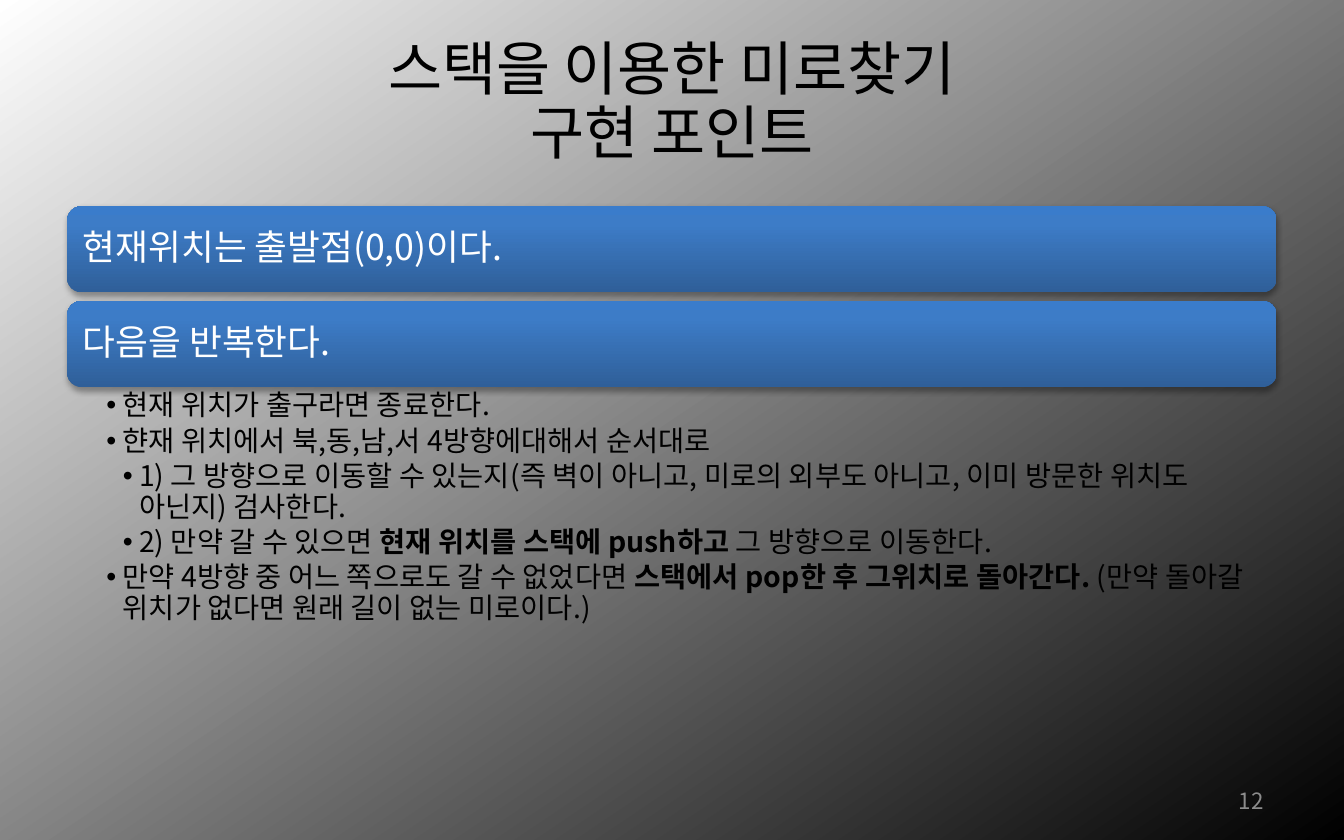
from copy import deepcopy

from lxml.etree import SubElement
from pptx import Presentation
from pptx.dml.color import RGBColor
from pptx.enum.shapes import MSO_SHAPE as Shape
from pptx.enum.text import MSO_ANCHOR as Anchor, MSO_AUTO_SIZE as AutoSize, PP_ALIGN as Align
from pptx.oxml.ns import qn
from pptx.util import Cm, Pt

FONT = "Noto Sans CJK KR"
BLACK, WHITE, GRAY = "000000", "FFFFFF", "8C8C8C"
BAR_STOPS = [(0, "2F5F99"), (0.8, "3D7CC7"), (1, "3A7CCB")]
LINE_SPACING = 0.9


def format_text(paragraph, size, color, **paragraph_format):
    """Format a paragraph and set the Latin and East Asian font of its runs."""
    for name, value in paragraph_format.items():
        setattr(paragraph, name, value)
    for run in paragraph.runs:
        run.font.name, run.font.size = FONT, Pt(size)
        run.font.color.rgb = RGBColor.from_string(color)
        SubElement(run.font._element, qn("a:ea"), typeface=FONT)


def fill_gradient(fill, element, stops, angle):
    fill.gradient()
    fill.gradient_angle = angle
    stop_list = element.find(".//" + qn("a:gsLst"))
    for _ in stops[2:]:
        stop_list.append(deepcopy(stop_list[0]))
    for stop, (position, color) in zip(fill.gradient_stops, stops):
        stop.position = position
        stop.color.rgb = RGBColor.from_string(color)


presentation = Presentation()
presentation.slide_width, presentation.slide_height = Cm(25.4), Cm(15.88)
slide = presentation.slides.add_slide(presentation.slide_layouts[1])
fill_gradient(slide.background.fill, slide.element, [(0, WHITE), (1, BLACK)], 304)

# Title
title = slide.shapes.title
title.left, title.top, title.width, title.height = Cm(1.27), Cm(0.64), Cm(22.86), Cm(2.64)
title.text_frame.text = "스택을 이용한 미로찾기\v구현 포인트"
title.text_frame.auto_size = AutoSize.NONE
title.text_frame.vertical_anchor = Anchor.MIDDLE
format_text(title.text_frame.paragraphs[0], 31.5, BLACK,
            alignment=Align.CENTER, line_spacing=LINE_SPACING)

# Heading bars
bar_top, bar_height, bar_pitch = 3.9, 1.63, 1.79
for index, heading in enumerate(["현재위치는 출발점(0,0)이다.", "다음을 반복한다."]):
    bar = slide.shapes.add_shape(Shape.ROUNDED_RECTANGLE, Cm(1.27),
                                 Cm(bar_top + index * bar_pitch), Cm(22.86), Cm(bar_height))
    bar.line.fill.background()
    fill_gradient(bar.fill, bar.element, BAR_STOPS, 90)
    bar.shadow.inherit = False
    effects = bar.element.spPr.find(qn("a:effectLst"))
    shadow = SubElement(effects, qn("a:outerShdw"), blurRad=str(Pt(3.1)), dist=str(Pt(1.8)),
                        dir="5400000", rotWithShape="0")
    shadow_color = SubElement(shadow, qn("a:srgbClr"), val=BLACK)
    SubElement(shadow_color, qn("a:alpha"), val="35000")

    frame = bar.text_frame
    frame.text = heading
    frame.vertical_anchor = Anchor.MIDDLE
    frame.margin_left = frame.margin_right = Cm(0.22)
    format_text(frame.paragraphs[0], 19.1, WHITE,
                alignment=Align.LEFT, line_spacing=LINE_SPACING)

# Steps: level, then text pieces with every second one in bold
steps = [
    (1, ["현재 위치가 출구라면 종료한다."]),
    (1, ["햔재 위치에서 북,동,남,서 4방향에대해서 순서대로"]),
    (2, ["1) 그 방향으로 이동할 수 있는지(즉 벽이 아니고, 미로의 외부도 아니고, "
         "이미 방문한 위치도 아닌지) 검사한다."]),
    (2, ["2) 만약 갈 수 있으면 ", "현재 위치를 스택에 push하고", " 그 방향으로 이동한다."]),
    (1, ["만약 4방향 중 어느 쪽으로도 갈 수 없었다면 ", "스택에서 pop한 후 그위치로 돌아간다. ",
         "(만약 돌아갈 위치가 없다면 원래 길이 없는 미로이다.)"]),
]
body = slide.placeholders[1]
body.left, body.top, body.width, body.height = Cm(1.27), Cm(7.32), Cm(22.86), Cm(6.65)
frame = body.text_frame
body_format = {
    "auto_size": AutoSize.NONE, "word_wrap": True, "vertical_anchor": Anchor.TOP,
    "margin_left": Cm(0.74), "margin_right": Cm(0.38),
    "margin_top": Cm(0.08), "margin_bottom": Cm(0.08),
}
for name, value in body_format.items():
    setattr(frame, name, value)
for index, (level, pieces) in enumerate(steps):
    paragraph = frame.add_paragraph() if index else frame.paragraphs[0]
    for piece_index, piece in enumerate(pieces):
        run = paragraph.add_run()
        run.text = piece
        run.font.bold = piece_index % 2 == 1
    format_text(paragraph, 15.2, BLACK, level=level, alignment=Align.LEFT,
                line_spacing=LINE_SPACING, space_before=Pt(0), space_after=Pt(2.5))
    properties = paragraph._p.get_or_add_pPr()
    properties.set("marL", str(Cm(0.31 * level)))
    properties.set("indent", str(-Cm(0.31)))
    SubElement(properties, qn("a:buFont"), typeface="Arial")
    SubElement(properties, qn("a:buChar"), char="•")

# Slide number
number = slide.shapes.add_textbox(Cm(18.21), Cm(14.71), Cm(5.92), Cm(0.84))
number.text_frame.text = "12"
number.text_frame.word_wrap = True
number.text_frame.vertical_anchor = Anchor.MIDDLE
format_text(number.text_frame.paragraphs[0], 12, GRAY, alignment=Align.RIGHT)

presentation.save("out.pptx")
